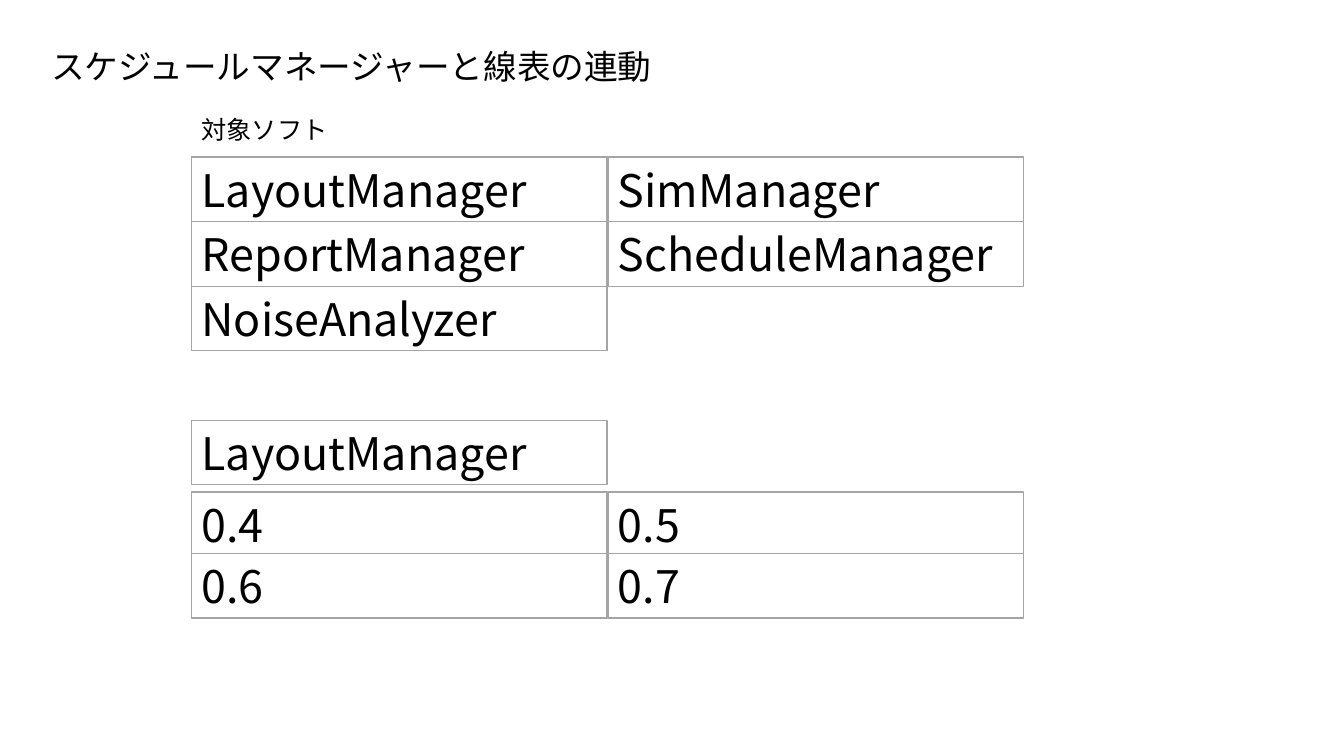
from dataclasses import dataclass
from lxml.etree import SubElement
from pptx import Presentation
from pptx.dml.color import RGBColor as Color
from pptx.enum.shapes import MSO_SHAPE as Kind
from pptx.enum.text import MSO_ANCHOR as Anchor, MSO_AUTO_SIZE as Fit, PP_ALIGN as Align
from pptx.oxml.ns import qn
from pptx.util import Inches, Pt


@dataclass(frozen=True)
class Theme:
    font: str = "Noto Sans CJK JP"
    ink: str = "000000"
    fill: str = "FFFFFF"
    edge: str = "A5A5A5"
    title: int = 24
    label: int = 18
    cell: int = 32


theme = Theme()


def write(shape, text, size, color=theme.ink, align=Align.LEFT):
    frame = shape.text_frame
    frame.word_wrap = True
    frame.auto_size = Fit.SHAPE_TO_FIT_TEXT
    frame.vertical_anchor = Anchor.MIDDLE
    para = frame.paragraphs[0]
    para.alignment = align
    run = para.add_run()
    run.text = text
    run.font.name = theme.font
    run.font.size = Pt(size)
    run.font.color.rgb = Color.from_string(color)
    SubElement(run.font._element, qn("a:ea"), typeface=theme.font)


def label(slide, box, text, size):
    shape = slide.shapes.add_textbox(*map(Inches, box))
    write(shape, text, size)


def cell(slide, box, text):
    shape = slide.shapes.add_shape(Kind.RECTANGLE, *map(Inches, box))
    shape.shadow.inherit = False
    shape.fill.solid()
    shape.fill.fore_color.rgb = Color.from_string(theme.fill)
    shape.line.color.rgb = Color.from_string(theme.edge)
    shape.line.width = Pt(1)
    write(shape, text, theme.cell)


def grid(slide, box, rows, step):
    left, top, width, height = box
    for row, names in enumerate(rows):
        for col, name in enumerate(names):
            spot = (left + col * (width + 0.01), top + row * step, width, height)
            cell(slide, spot, name)


def targets(slide, box):
    left, top, width, height = box
    label(slide, (left, top, 2.96, 0.4), "対象ソフト", theme.label)
    rows = [
        ["LayoutManager", "SimManager"],
        ["ReportManager", "ScheduleManager"],
        ["NoiseAnalyzer"],
    ]
    grid(slide, (left, top + 0.48, width, height), rows, height)


def releases(slide, box):
    left, top, width, height = box
    cell(slide, box, "LayoutManager")
    rows = [["0.4", "0.5"], ["0.6", "0.7"]]
    grid(slide, (left, top + 0.71, width, height), rows, 0.61)


deck = Presentation()
deck.slide_width = Inches(13.33)
deck.slide_height = Inches(7.5)
slide = deck.slides.add_slide(deck.slide_layouts[6])
label(slide, (0.41, 0.41, 7.11, 0.5), "スケジュールマネージャーと線表の連動", theme.title)
targets(slide, (1.9, 1.08, 4.12, 0.64))
releases(slide, (1.9, 4.17, 4.12, 0.64))
deck.save("out.pptx")
